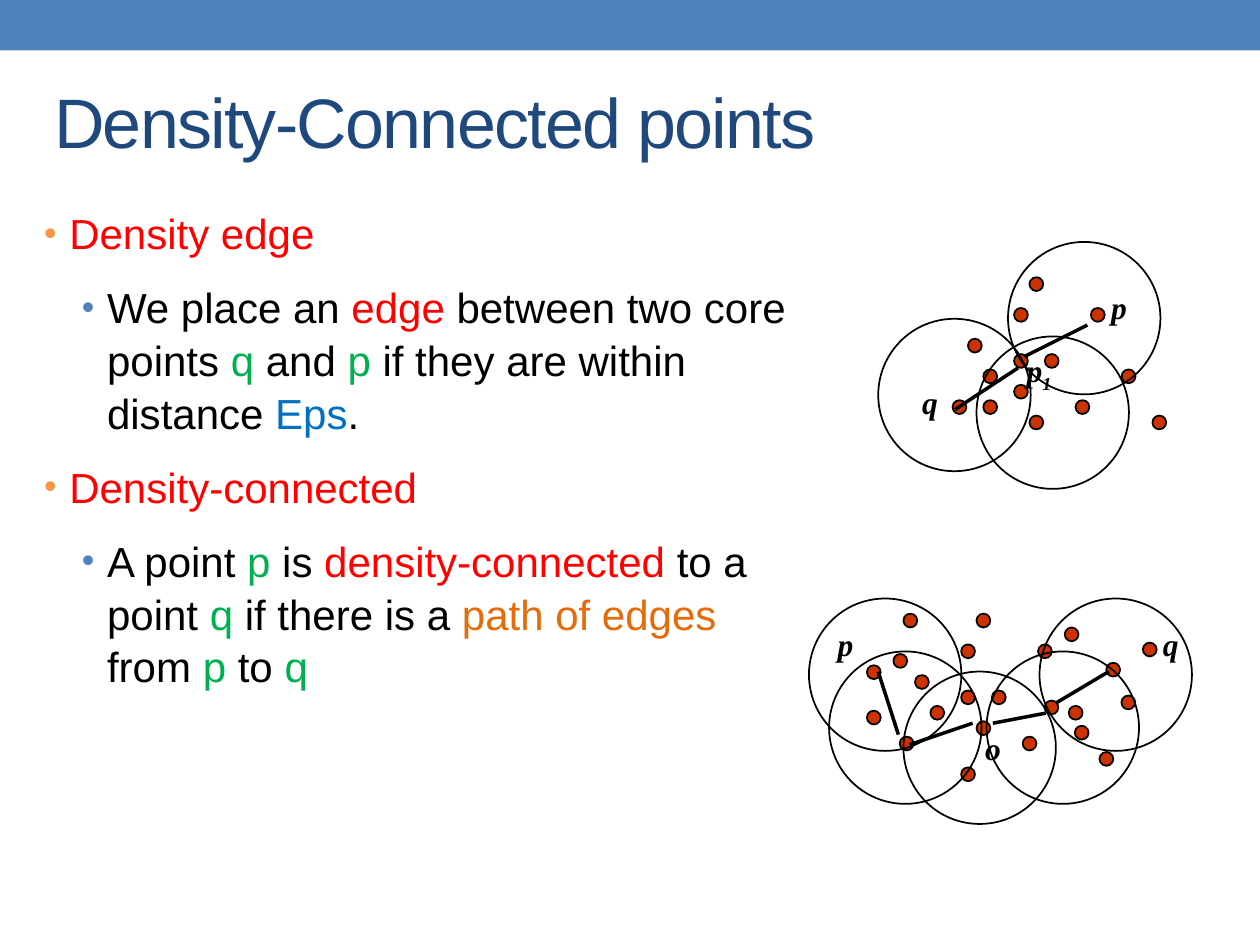
from pptx import Presentation
from pptx.dml.color import RGBColor
from pptx.enum.shapes import MSO_CONNECTOR as Link, MSO_SHAPE as Shape
from pptx.enum.text import MSO_ANCHOR as Anchor, MSO_AUTO_SIZE as Fit, PP_ALIGN as Align
from pptx.oxml.ns import qn
from pptx.util import Inches, Pt
from lxml.etree import SubElement as Sub

BLACK, RED, GREEN, BLUE = "000000", "FF0000", "00B050", "0070C0"
ORANGE, NAVY, BAR, DOT = "E46C0A", "1F497D", "4F81BD", "CC3300"
BULLETS = ["F79646", BAR]
SIZE, RING, STEP = 0.11, 1.21, 0.122

# Bullet list: level, then runs of text and colour
POINTS = [
    (0, [("Density edge", RED)]),
    (1, [("We place an ", BLACK), ("edge", RED), (" between two core points ", BLACK),
         ("q", GREEN), (" and ", BLACK), ("p", GREEN),
         (" if they are within distance ", BLACK), ("Eps", BLUE), (".", BLACK)]),
    (0, [("Density-connected", RED)]),
    (1, [("A point ", BLACK), ("p", GREEN), (" is ", BLACK), ("density-connected", RED),
         (" to a point ", BLACK), ("q ", GREEN), ("if there is a ", BLACK),
         ("path of edges ", ORANGE), ("from ", BLACK), ("p", GREEN), (" to ", BLACK),
         ("q", GREEN)]),
]

# Graphs: grid dots in steps from the grid corner, the rest in inches from the box
EDGE = dict(
    corner=(0.59, 0.28),
    grid=[(1, 4), (4, 5), (4, 2), (0, 8), (2, 6), (2, 8), (5, 9), (5, 0),
          (11, 6), (9, 2), (4, 7), (6, 5), (8, 8), (13, 9)],
    loose=[],
    rings=[(0.78, 0.75), (0, 0.61), (1.03, 0)],
    labels=[("p", "", 1.75, 0.32), ("q", "", 0.25, 1.07), ("p", "1", 1.08, 0.82)],
    edges=[(1.66, 0.66, 1.16, 0.91), (0.61, 1.33, 1.11, 1)],
)
CHAIN = dict(
    corner=(0.72, 0.12),
    grid=[(1, 4), (4, 5), (4, 2), (0, 8), (2, 6), (4, 10), (5, 7), (5, 0),
          (11, 6), (9, 2), (6, 5), (8, 8), (13, 9)],
    loose=[(0.46, 0.89), (2.48, 0.77), (1.87, 0.81), (2.11, 1.01), (2.65, 0.35),
           (2.03, 0.23), (2.36, 0.51), (0.67, 0.44), (0.46, 0.53), (0.75, 0.12)],
    rings=[(0.16, 0.42), (0.75, 0.58), (1.41, 0.42), (1.83, 0), (0, 0)],
    labels=[("p", "", 0.13, 0.16), ("q", "", 2.71, 0.16), ("o", "", 1.3, 0.99)],
    edges=[(0.8, 1.16, 1.3, 0.99), (1.88, 0.91, 1.46, 0.99),
           (0.55, 0.58, 0.71, 1.08), (2.38, 0.58, 1.96, 0.83)],
)


def rgb(code):
    return RGBColor.from_string(code)


def write(para, text, size=24, color=BLACK, face="Arial", bold=False, slant=False,
          base=None, space=None):
    run = para.add_run()
    run.text = text
    font = run.font
    font.size, font.name, font.bold, font.italic = Pt(size), face, bold, slant
    font.color.rgb = rgb(color)
    props = run._r.get_or_add_rPr()
    if base:
        props.set("baseline", str(base * 1000))
    if space:
        props.set("spc", str(space * 100))


def place(shape, box):
    shape.left, shape.top, shape.width, shape.height = map(Inches, box)


def draw(slide, kind, box, fill=None, line=None):
    shape = slide.shapes.add_shape(kind, *map(Inches, box))
    shape.shadow.inherit = False
    if fill:
        shape.fill.solid()
        shape.fill.fore_color.rgb = rgb(fill)
    else:
        shape.fill.background()
    if line:
        shape.line.color.rgb = rgb(line)
        shape.line.width = Pt(1)
    else:
        shape.line.fill.background()


def bullet(para, level):
    para.level = level
    para.space_before = Pt(12)
    para.line_spacing = 1.05
    props = para._p.get_or_add_pPr()
    props.set("marL", str(Inches(0.5 if level else 0.2)))
    props.set("indent", str(Inches(-0.2)))
    Sub(Sub(props, qn("a:buClr")), qn("a:srgbClr"), val=BULLETS[level])
    Sub(props, qn("a:buSzPct"), val="85000")
    Sub(props, qn("a:buFont"), typeface="Arial")
    Sub(props, qn("a:buChar"), char="•")


def title(slide, box):
    shape = slide.shapes.title
    place(shape, box)
    frame = shape.text_frame
    frame.auto_size, frame.vertical_anchor = Fit.NONE, Anchor.MIDDLE
    para = frame.paragraphs[0]
    para.alignment = Align.LEFT
    write(para, "Density-Connected points", size=40, color=NAVY, space=-1)


def body(slide, box):
    shape = slide.placeholders[1]
    place(shape, box)
    frame = shape.text_frame
    frame.auto_size = Fit.NONE
    for i, (level, runs) in enumerate(POINTS):
        para = frame.add_paragraph() if i else frame.paragraphs[0]
        bullet(para, level)
        for text, color in runs:
            write(para, text, color=color)


def label(slide, text, sub, box):
    frame = slide.shapes.add_textbox(*map(Inches, box)).text_frame
    frame.word_wrap = True
    style = dict(size=18, face="Times New Roman", bold=True, slant=True)
    para = frame.paragraphs[0]
    write(para, text, **style)
    if sub:
        write(para, sub, base=-25, **style)


def edge(slide, ends):
    link = slide.shapes.add_connector(Link.STRAIGHT, *map(Inches, ends))
    link.line.color.rgb = rgb(BLACK)
    link.line.width = Pt(2)
    Sub(link._element.spPr, qn("a:effectLst"))


def graph(slide, x, y, corner, grid, loose, rings, labels, edges):
    # Points
    dots = [(corner[0] + col * STEP, corner[1] + row * STEP) for col, row in grid]
    for dx, dy in dots + loose:
        draw(slide, Shape.OVAL, (x + dx, y + dy, SIZE, SIZE), DOT, BLACK)
    # Neighbourhoods
    for dx, dy in rings:
        draw(slide, Shape.OVAL, (x + dx, y + dy, RING, RING), line=BLACK)
    # Names
    for text, sub, dx, dy in labels:
        label(slide, text, sub, (x + dx, y + dy, 0.67 if sub else 0.42, 0.5))
    # Edges
    for x1, y1, x2, y2 in edges:
        edge(slide, (x + x1, y + y1, x + x2, y + y2))


def main():
    deck = Presentation()
    deck.slide_width, deck.slide_height = Inches(10), Inches(7.5)
    slide = deck.slides.add_slide(deck.slide_layouts[1])
    draw(slide, Shape.RECTANGLE, (0, 0, 10, 0.4), BAR)
    title(slide, (0.33, 0.5, 9.22, 0.92))
    body(slide, (0.25, 1.58, 6.17, 5.5))
    graph(slide, 6.97, 1.92, **EDGE)
    graph(slide, 6.42, 4.75, **CHAIN)
    deck.save("out.pptx")


if __name__ == "__main__":
    main()
